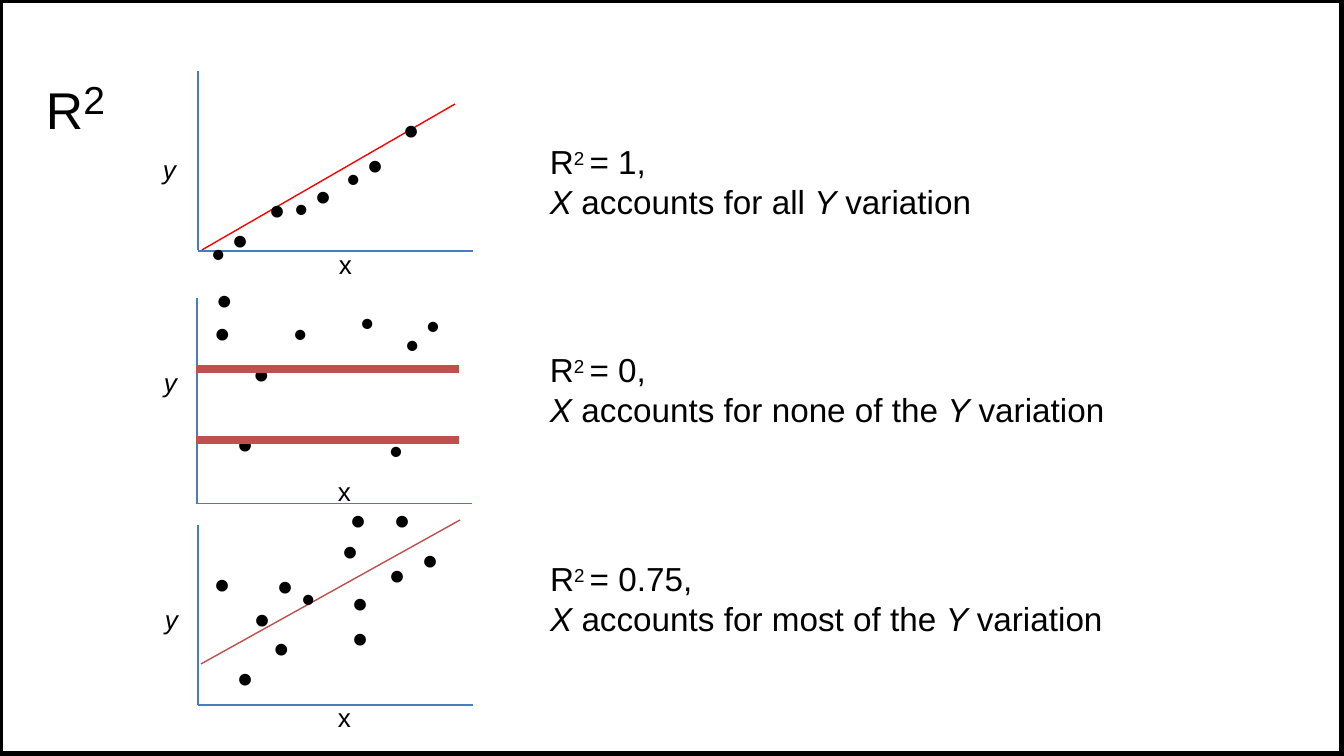
from lxml import etree
from pptx import Presentation
from pptx.dml.color import RGBColor
from pptx.enum.shapes import MSO_CONNECTOR, MSO_SHAPE
from pptx.enum.text import MSO_AUTO_SIZE
from pptx.oxml.ns import qn
from pptx.util import Emu, Pt

STRAIGHT = MSO_CONNECTOR.STRAIGHT
RECTANGLE = MSO_SHAPE.RECTANGLE
GROW = MSO_AUTO_SIZE.SHAPE_TO_FIT_TEXT
BLACK = RGBColor(0x00, 0x00, 0x00)
RED = RGBColor(0xFF, 0x00, 0x00)
BRICK = RGBColor(0xC0, 0x50, 0x4D)
BLUE = RGBColor(0x49, 0x7D, 0xBA)
SCALE = 914400 / 208


def px(*lengths):
    """Turn pixel lengths into a list of EMU lengths."""
    return [Emu(round(length * SCALE)) for length in lengths]


def write(frame, paragraphs, font):
    """Fill a frame with (indent, before, line spacing, tabs, runs) paragraphs."""
    for number, (indent, before, spacing, tabs, runs) in enumerate(paragraphs):
        paragraph = frame.add_paragraph() if number else frame.paragraphs[0]
        paragraph.space_before = Pt(before)
        if spacing:
            paragraph.line_spacing = Pt(spacing)
        properties = paragraph._p.get_or_add_pPr()
        properties.set("marL", str(px(indent)[0]))
        if tabs:
            stops = etree.SubElement(properties, qn("a:tabLst"))
            for stop in px(*tabs):
                etree.SubElement(stops, qn("a:tab"), pos=str(stop), algn="l")
        for words, size, baseline, italic in runs:
            run = paragraph.add_run()
            run.text = words
            run.font.name = font
            run.font.size = Pt(size)
            run.font.italic = italic
            run.font.color.rgb = BLACK
            if baseline:
                run.font._element.set("baseline", str(baseline * 1000))


presentation = Presentation()
presentation.slide_width, presentation.slide_height = px(1344, 756)
slide = presentation.slides.add_slide(presentation.slide_layouts[6])
shapes = slide.shapes

# Fitted lines and axes: x1, y1, x2, y2, colour
for x1, y1, x2, y2, colour in [
    (202, 250, 455, 104, RED),
    (198, 71, 198, 250, BLUE),
    (198, 251, 473, 251, BLUE),
    (201, 664, 460, 520, BRICK),
    (198, 525, 198, 705, BLUE),
    (198, 705, 473, 705, BLUE),
]:
    line = shapes.add_connector(STRAIGHT, *px(x1, y1, x2, y2))
    line.line.color.rgb = colour
    line.line.width = Pt(0.48)
    etree.SubElement(line._element.spPr, qn("a:effectLst"))

# Middle plot: dots in a table whose borders are the axes and flat lines
DOT = ("•", 11.5, 0, False)
TAB_DOT = ("•\t", 11.5, 0, False)
plot_rows = [
    (25, [(19, 0, 7.8, (), [DOT])]),
    (46, [(17, 0, 13.5, (79, 146, 191), [
        TAB_DOT, ("•\t", 17.2, 2, False), ("•\t", 17.2, 24, False),
        ("• ", 17.2, -19, False), ("•", 17.2, 19, False)])]),
    (71, [(56, 0.1, 8.8, (), [DOT]),
          (75, 0, 8.8, (127, 179, 237), [
              ("•\t", 17.2, -29, False), ("•\t", 17.2, -12, False),
              TAB_DOT, ("•", 17.2, -36, False)])]),
    (38, [(40, 0, 9.8, (152,), [TAB_DOT, ("•", 17.2, -10, False)])]),
]
AXIS, FLAT_LINE = (BLUE, 0.5), (BRICK, 3)
borders = {
    (0, 0): {"L": AXIS},
    (1, 0): {"L": AXIS, "B": FLAT_LINE},
    (2, 0): {"L": AXIS, "T": FLAT_LINE, "B": FLAT_LINE},
    (3, 0): {"L": AXIS, "T": FLAT_LINE, "B": AXIS},
    (0, 1): {"B": AXIS},
    (3, 1): {"B": AXIS},
}
plot = shapes.add_table(4, 2, *px(197, 298, 275, 180)).table
plot.first_row = plot.horz_banding = False
for column, width in zip(plot.columns, px(262, 13)):
    column.width = width
plot.cell(0, 1).merge(plot.cell(3, 1))
for row, (height, dots) in enumerate(plot_rows):
    plot.rows[row].height = px(height)[0]
    write(plot.cell(row, 0).text_frame, dots, "Calibri")
    for column in range(2):
        cell = plot.cell(row, column)
        cell.margin_left = cell.margin_right = cell.margin_top = cell.margin_bottom = 0
        cell_properties = cell._tc.get_or_add_tcPr()
        for side in "LRTB":
            border = etree.SubElement(cell_properties, qn("a:ln" + side))
            if side in borders.get((row, column), {}):
                colour, width = borders[row, column][side]
                border.set("w", str(Pt(width)))
                fill = etree.SubElement(border, qn("a:solidFill"))
                etree.SubElement(fill, qn("a:srgbClr"), val=str(colour))
            else:
                etree.SubElement(border, qn("a:noFill"))
        cell.fill.background()

# Text boxes: left, top, width, height, top inset, font, paragraphs
boxes = [
    (38, 22, 83, 77, 4, "Arial",
     [(8, 1.1, 0, (), [("R", 30.8, -16, False), ("2", 13.5, 0, False)])]),
    (235, 574, 37, 125, 23, "Calibri",
     [(19, 7.8, 0, (), [DOT]), (2, 6.8, 0, (), [DOT])]),
    (325, 500, 94, 160, 2, "Calibri",
     [(25, 1, 12.7, (73,), [TAB_DOT, DOT]), (17, 0, 10.4, (), [DOT]),
      (64, 0, 8.6, (), [DOT]), (27, 0, 9.4, (), [DOT]), (27, 0, 12.3, (), [DOT])]),
    (271, 546, 50, 46, 2, "Calibri",
     [(6, 1, 0, (), [("• ", 11.5, 0, False), ("•", 17.2, -22, False)])]),
]
for left, top, baseline in [(203, 200, -24), (286, 156, -22), (338, 125, -24)]:
    boxes.append((left, top, 60, 46, 2, "Calibri",
                  [(8, 1, 0, (), [("• ", 17.2, baseline, False), DOT])]))
for left, top, indent in [(267, 186, 2), (401, 106, 2), (273, 624, 0),
                          (420, 536, 2), (212, 560, 2)]:
    boxes.append((left, top, 23, 46, 2, "Calibri", [(indent, 1, 0, (), [DOT])]))
for label, left, top in [("y", 161, 150), ("y", 162, 362), ("y", 163, 600),
                         ("x", 337, 244), ("x", 336, 472), ("x", 336, 698)]:
    boxes.append((left, top, 19, 37, 4, "Arial",
                  [(2, 1.1, 0, (), [(label, 9, 0, label == "y")])]))
for top, width, value, share in [(139, 443, "1", "all "),
                                 (347, 576, "0", "none of the "),
                                 (556, 574, "0.75", "most of the ")]:
    boxes.append((542, top, width, 85, 2, "Arial", [
        (8, 1, 0, (), [("R", 11.5, 0, False), ("2 ", 11.2, 26, False),
                       (f"= {value},", 11.5, 0, False)]),
        (8, 0.1, 0, (), [("X ", 11.5, 0, True),
                         ("accounts for " + share, 11.5, 0, False),
                         ("Y ", 11.5, 0, True), ("variation", 11.5, 0, False)])]))

for left, top, width, height, inset, font, paragraphs in boxes:
    frame = shapes.add_textbox(*px(left, top, width, height)).text_frame
    frame.word_wrap = True
    frame.auto_size = GROW
    frame.margin_left = frame.margin_right = frame.margin_bottom = 0
    frame.margin_top = px(inset)[0]
    write(frame, paragraphs, font)

slide_border = shapes.add_shape(RECTANGLE, *px(0, 0, 1342, 754))
slide_border.shadow.inherit = False
slide_border.fill.background()
slide_border.line.color.rgb = BLACK
slide_border.line.width = Pt(1.92)
presentation.save("out.pptx")
